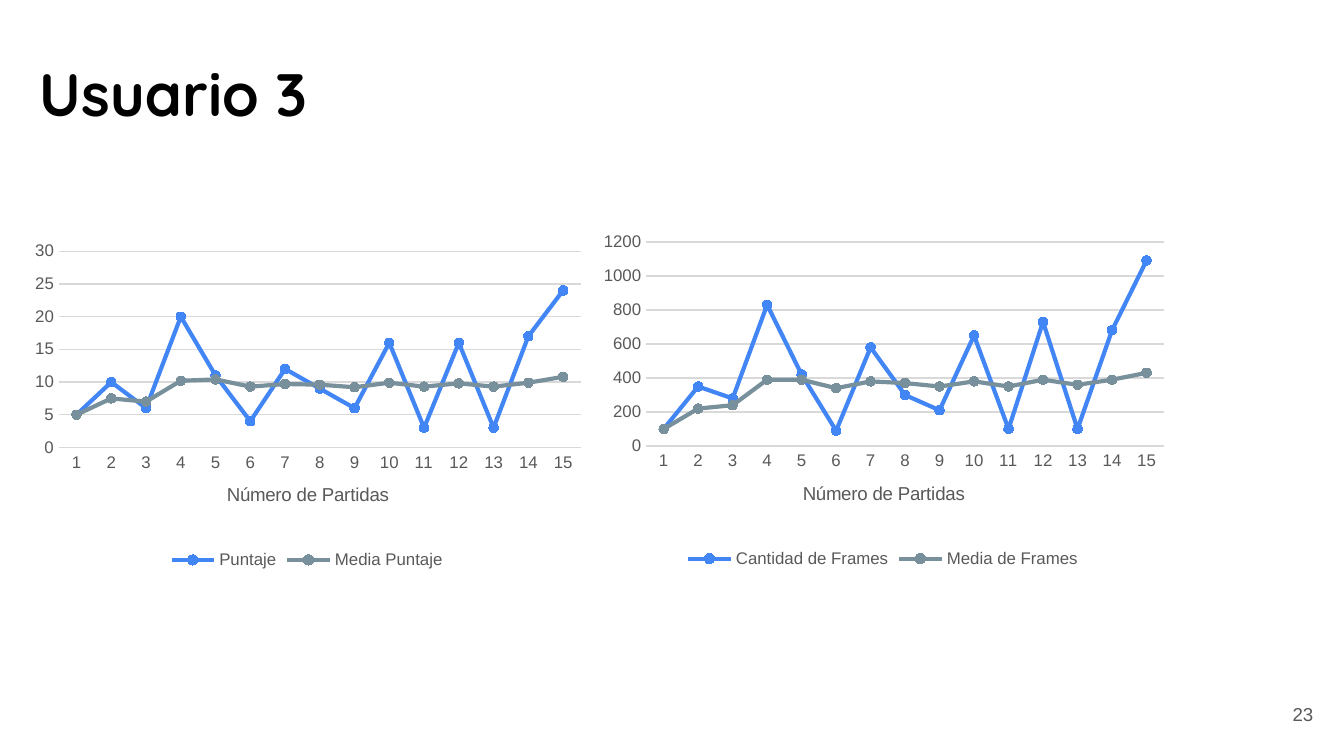
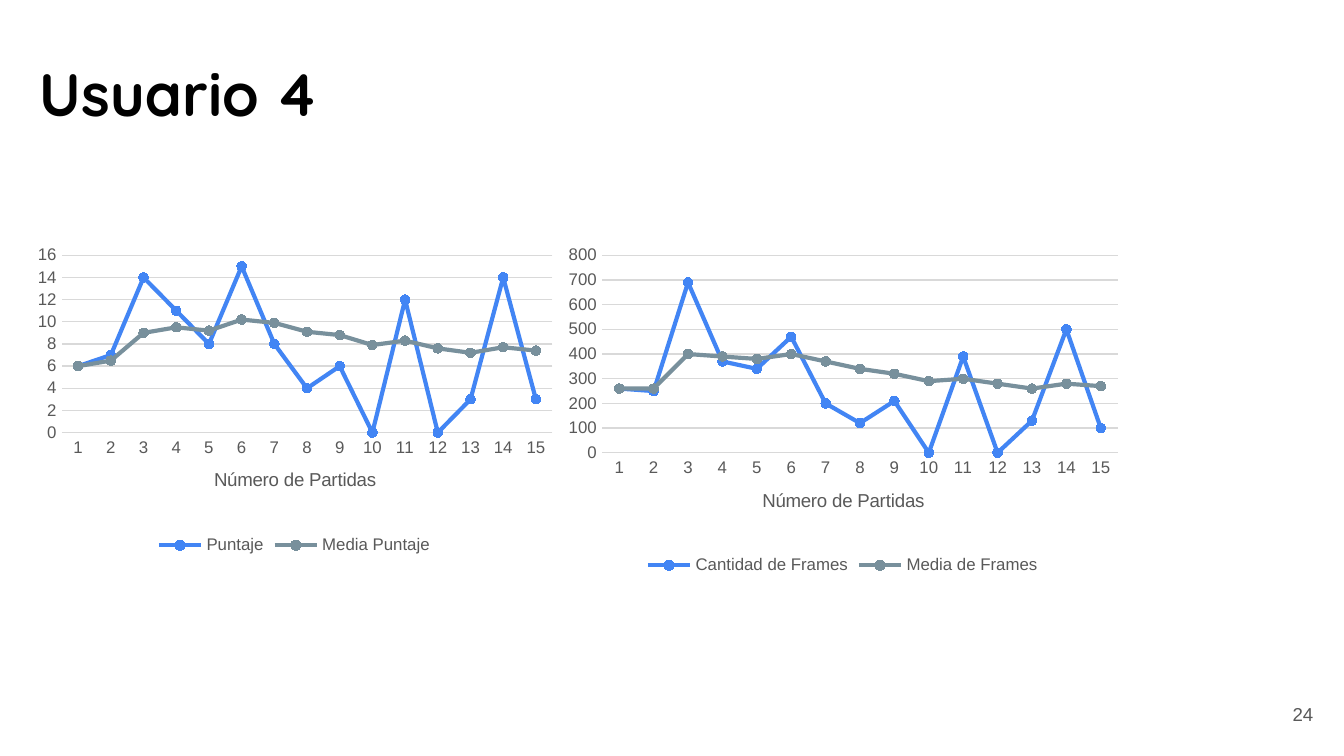
"""Build two slides that compare each user's score and frame counts with their running means."""
from dataclasses import dataclass
from typing import Any

from lxml import etree
from pptx import Presentation
from pptx.chart import data as chart_data
from pptx.dml.color import RGBColor
from pptx.enum import chart as chart_enum
from pptx.enum import text
from pptx.oxml import ns
from pptx.util import Inches, Length, Pt

BLACK = RGBColor(0x00, 0x00, 0x00)
WHITE = RGBColor(0xFF, 0xFF, 0xFF)
GRAY = RGBColor(0x59, 0x59, 0x59)
GRID = RGBColor(0xD9, 0xD9, 0xD9)
BLUE = RGBColor(0x42, 0x85, 0xF4)
SLATE = RGBColor(0x78, 0x90, 0x9C)

SLIDE_WIDTH = Inches(10)
SLIDE_HEIGHT = SLIDE_WIDTH * 9 // 16

TITLE_FONT = {"name": "Quicksand", "size": Pt(32), "bold": True}
NUMBER_FONT = {"name": "Arial", "size": Pt(10), "bold": False}
LABEL_FONT = {"name": "Arial", "size": Pt(9), "bold": False}
FRAME_FORMAT = {
    "word_wrap": True,
    **{f"margin_{side}": Inches(0.1) for side in ("left", "top", "right", "bottom")},
}

SCORE_NAMES = ("Puntaje", "Media Puntaje")
FRAME_NAMES = ("Cantidad de Frames", "Media de Frames")
GAMES = [str(game) for game in range(1, 16)]


@dataclass(frozen=True)
class Box:
    """A position and size in inches."""

    left: float
    top: float
    width: float
    height: float

    def lengths(self) -> tuple[Length, ...]:
        """Return the four measures as lengths."""
        return tuple(Inches(v) for v in (self.left, self.top, self.width, self.height))


@dataclass(frozen=True)
class LineChart:
    """A chart of one measure and its mean over the games played."""

    box: Box
    names: tuple[str, str]
    values: list[float]
    means: list[float]
    maximum: int
    step: int


@dataclass(frozen=True)
class UserSlide:
    """The title, page number and charts of one user."""

    title: str
    number: int
    charts: tuple[LineChart, LineChart]


TITLE_BOX = Box(0.19, 0.32, 8.44, 0.74)
NUMBER_BOX = Box(9.27, 5.1, 0.6, 0.43)

USERS = (
    UserSlide("Usuario 3", 23, (
        LineChart(
            Box(0.17, 1.74, 4.23, 2.54), SCORE_NAMES,
            [5, 10, 6, 20, 11, 4, 12, 9, 6, 16, 3, 16, 3, 17, 24],
            [5, 7.5, 7, 10.2, 10.4, 9.3, 9.7, 9.6, 9.2, 9.9, 9.3, 9.8, 9.3, 9.9, 10.8],
            maximum=30, step=5,
        ),
        LineChart(
            Box(4.4, 1.67, 4.34, 2.6), FRAME_NAMES,
            [100, 350, 280, 830, 420, 90, 580, 300, 210, 650, 100, 730, 100, 680, 1090],
            [100, 220, 240, 390, 390, 340, 380, 370, 350, 380, 350, 390, 360, 390, 430],
            maximum=1200, step=200,
        ),
    )),
    UserSlide("Usuario 4", 24, (
        LineChart(
            Box(0.19, 1.77, 4, 2.4), SCORE_NAMES,
            [6, 7, 14, 11, 8, 15, 8, 4, 6, 0, 12, 0, 3, 14, 3],
            [6, 6.5, 9, 9.5, 9.2, 10.2, 9.9, 9.1, 8.8, 7.9, 8.3, 7.6, 7.2, 7.7, 7.4],
            maximum=16, step=2,
        ),
        LineChart(
            Box(4.14, 1.77, 4.26, 2.55), FRAME_NAMES,
            [260, 250, 690, 370, 340, 470, 200, 120, 210, 0, 390, 0, 130, 500, 100],
            [260, 260, 400, 390, 380, 400, 370, 340, 320, 290, 300, 280, 260, 280, 270],
            maximum=800, step=100,
        ),
    )),
)


def apply_format(target: Any, values: dict[str, Any]) -> None:
    """Set each named attribute on the target."""
    for name, value in values.items():
        setattr(target, name, value)


def apply_font(font: Any, values: dict[str, Any], color: RGBColor) -> None:
    """Set the font attributes and colour."""
    apply_format(font, values)
    font.color.rgb = color


def style_line(line: Any, color: RGBColor, width: float) -> None:
    """Set a line's colour and width in points."""
    line.color.rgb = color
    line.width = Pt(width)


def write_text(shape: Any, content: str, font: dict[str, Any], color: RGBColor,
               alignment: Any, frame_format: dict[str, Any]) -> None:
    """Write one formatted paragraph into a shape."""
    frame = shape.text_frame
    apply_format(frame, FRAME_FORMAT | frame_format)
    paragraph = frame.paragraphs[0]
    paragraph.alignment = alignment
    run = paragraph.add_run()
    run.text = content
    apply_font(run.font, font, color)


def place_plot(chart: Any, item: LineChart) -> None:
    """Fix the plot area, leaving room for axis labels, axis title and legend."""
    box = item.box
    left, right, top, bottom = 0.13 + 0.07 * len(str(item.maximum)), 0.08, 0.13, 0.95
    settings = {
        "layoutTarget": "inner",
        "xMode": "edge",
        "yMode": "edge",
        "x": left / box.width,
        "y": top / box.height,
        "w": 1 - (left + right) / box.width,
        "h": 1 - (top + bottom) / box.height,
    }
    plot_area = chart.element.find(f".//{ns.qn('c:plotArea')}")
    for layout in plot_area.findall(ns.qn("c:layout")):
        plot_area.remove(layout)
    layout = etree.Element(ns.qn("c:layout"))
    manual = etree.SubElement(layout, ns.qn("c:manualLayout"))
    for name, value in settings.items():
        etree.SubElement(manual, ns.qn(f"c:{name}"), val=str(value))
    plot_area.insert(0, layout)


def style_axes(chart: Any, item: LineChart) -> None:
    """Format both axes, the gridlines and the axis title."""
    category_axis, value_axis = chart.category_axis, chart.value_axis
    for axis in (category_axis, value_axis):
        axis.major_tick_mark = chart_enum.XL_TICK_MARK.NONE
        apply_font(axis.tick_labels.font, LABEL_FONT, GRAY)
    category_axis.has_major_gridlines = False
    style_line(category_axis.format.line, GRID, 0.75)
    run = category_axis.axis_title.text_frame.paragraphs[0].add_run()
    run.text = "Número de Partidas"
    apply_font(run.font, NUMBER_FONT, GRAY)
    apply_format(value_axis, {
        "minimum_scale": 0, "maximum_scale": item.maximum, "major_unit": item.step,
    })
    value_axis.format.line.fill.background()
    style_line(value_axis.major_gridlines.format.line, GRID, 0.75)


def add_line_chart(slide: Any, item: LineChart) -> None:
    """Draw a two-series line chart with round markers."""
    data = chart_data.CategoryChartData()
    data.categories = GAMES
    for name, values in zip(item.names, (item.values, item.means)):
        data.add_series(name, values)
    chart = slide.shapes.add_chart(
        chart_enum.XL_CHART_TYPE.LINE_MARKERS, *item.box.lengths(), data
    ).chart
    apply_font(chart.font, NUMBER_FONT, BLACK)
    apply_format(chart, {"has_title": False, "has_legend": True})
    apply_format(chart.legend, {
        "position": chart_enum.XL_LEGEND_POSITION.BOTTOM, "include_in_layout": False,
    })
    apply_font(chart.legend.font, LABEL_FONT, GRAY)
    chart.plots[0].vary_by_categories = False
    for series, color in zip(chart.plots[0].series, (BLUE, SLATE)):
        series.smooth = False
        style_line(series.format.line, color, 2.25)
        marker = series.marker
        apply_format(marker, {"style": chart_enum.XL_MARKER_STYLE.CIRCLE, "size": 5})
        marker.format.fill.solid()
        marker.format.fill.fore_color.rgb = color
        style_line(marker.format.line, color, 0.75)
    style_axes(chart, item)
    place_plot(chart, item)


def add_user_slide(presentation: Any, user: UserSlide) -> None:
    """Add one user's title, charts and page number."""
    slide = presentation.slides.add_slide(presentation.slide_layouts.get_by_name("Title Only"))
    slide.background.fill.solid()
    slide.background.fill.fore_color.rgb = WHITE
    title = slide.shapes.title
    apply_format(title, dict(zip(("left", "top", "width", "height"), TITLE_BOX.lengths())))
    write_text(title, user.title, TITLE_FONT, BLACK, text.PP_ALIGN.LEFT, {
        "vertical_anchor": text.MSO_ANCHOR.TOP,
        "auto_size": text.MSO_AUTO_SIZE.SHAPE_TO_FIT_TEXT,
    })
    for item in user.charts:
        add_line_chart(slide, item)
    number = slide.shapes.add_textbox(*NUMBER_BOX.lengths())
    write_text(number, str(user.number), NUMBER_FONT, GRAY, text.PP_ALIGN.RIGHT, {
        "vertical_anchor": text.MSO_ANCHOR.MIDDLE,
    })


def main() -> None:
    """Build and save the presentation."""
    presentation = Presentation()
    apply_format(presentation, {"slide_width": SLIDE_WIDTH, "slide_height": SLIDE_HEIGHT})
    for user in USERS:
        add_user_slide(presentation, user)
    presentation.save("out.pptx")


if __name__ == "__main__":
    main()
